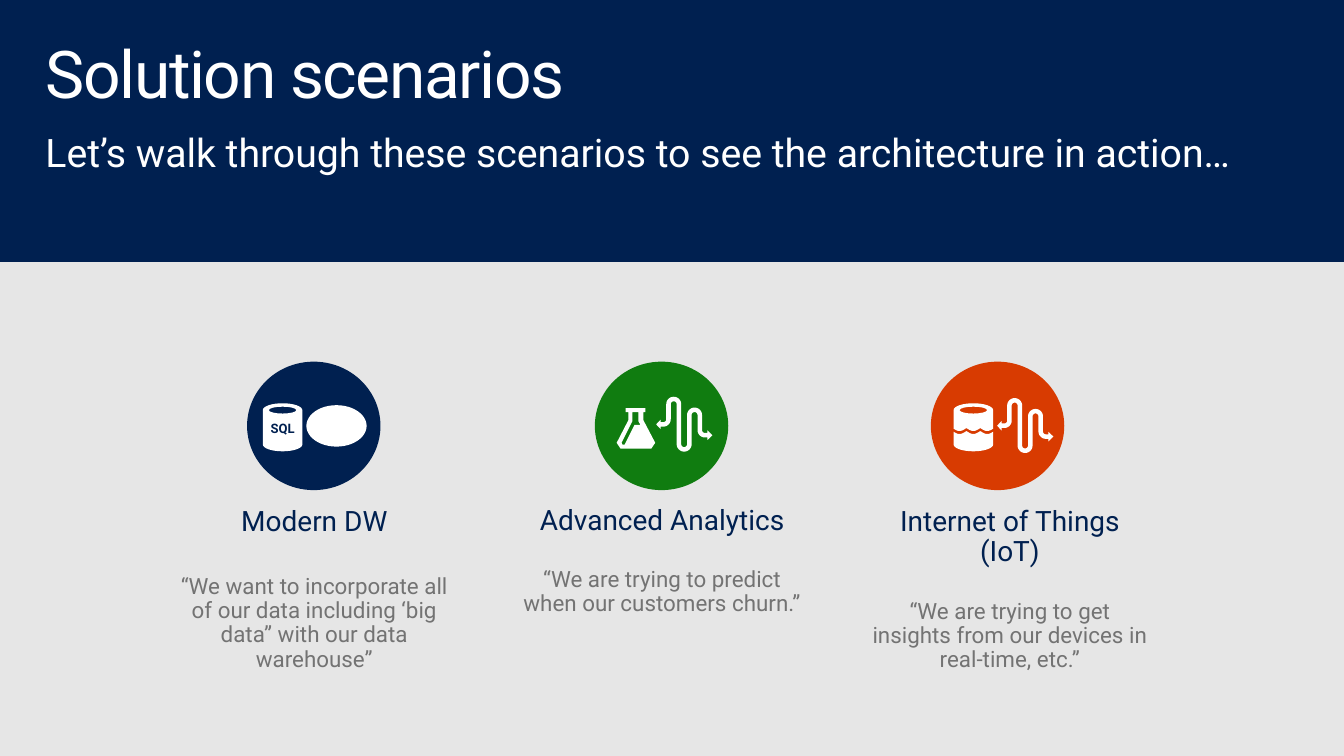
from dataclasses import dataclass
from math import cos, pi, radians, sin
from typing import Callable

from lxml import etree
from pptx import Presentation
from pptx import util as u
from pptx.dml.color import RGBColor
from pptx.enum import shapes, text
from pptx.oxml import ns

Point = tuple[float, float]
Contour = list[Point]

COLORS = {"navy": "002050", "green": "107C10", "orange": "D83B01",
          "white": "FFFFFF", "gray": "737373", "backdrop": "E6E6E6"}
FONT = "Roboto"
CAN_WIDTH, CAN_HEIGHT, LID = 28.8, 35, 5
COLUMN_LEFT, COLUMN_STEP, COLUMN_WIDTH = 113.8, 253.4, 230.4
DISC_TOP, DISC_WIDTH, DISC_HEIGHT = 263.5, 97.2, 93.6


@dataclass
class Scenario:
    heading: str
    quote: str
    color: str
    disc_left: float
    text_top: float
    text_height: float
    quote_gap: float
    draw_icons: Callable


def rgb(name: str) -> RGBColor:
    return RGBColor.from_string(COLORS[name])


def arc(cx: float, cy: float, rx: float, ry: float, start: int, end: int) -> Contour:
    """Points of an elliptical arc; angles in degrees, clockwise on screen."""
    steps = 16
    angles = [radians(start + (end - start) * i / steps) for i in range(steps + 1)]
    return [(cx + rx * cos(a), cy + ry * sin(a)) for a in angles]


def paint(shape, color: str):
    shape.shadow.inherit = False
    shape.fill.solid()
    shape.fill.fore_color.rgb = rgb(color)
    shape.line.fill.background()
    return shape


def add_preset(page, kind, left: float, top: float, width: float, height: float, color: str):
    return paint(page.shapes.add_shape(
        kind, u.Pt(left), u.Pt(top), u.Pt(width), u.Pt(height)), color)


def add_outline(page, left: float, top: float, contours: list[Contour]):
    """Add a white freeform; the builder counts in hundredths of a point."""
    scaled = [[(x * 100, y * 100) for x, y in contour] for contour in contours]
    builder = page.shapes.build_freeform(*scaled[0][0], scale=u.Pt(1) / 100)
    for number, contour in enumerate(scaled):
        if number:
            builder.move_to(*contour[0])
        builder.add_line_segments(contour[1:], close=True)
    return paint(builder.convert_to_shape(u.Pt(left), u.Pt(top)), "white")


def can_parts() -> tuple[Contour, Contour, Contour]:
    """Top rim, bottom rim and lid hole of a database can."""
    middle = CAN_WIDTH / 2
    return (arc(middle, LID, middle, LID, 180, 360),
            arc(middle, CAN_HEIGHT - LID, middle, LID, 0, 180),
            arc(middle, LID, 10, 2.5, 0, 360))


def add_sql_can(page, left: float, top: float) -> None:
    rim, base, hole = can_parts()
    can = add_outline(page, left, top, [rim + base, hole])
    frame = can.text_frame
    frame.margin_left = frame.margin_right = frame.margin_bottom = 0
    frame.margin_top = u.Pt(2.5)
    frame.word_wrap = False
    frame.vertical_anchor = text.MSO_ANCHOR.MIDDLE
    frame.text = "SQL"
    format_para(frame.paragraphs[0], 9.5, "navy", centered=True, bold=True)


def add_lake_can(page, left: float, top: float) -> None:
    rim, base, hole = can_parts()
    columns = [CAN_WIDTH * i / 48 for i in range(49)]

    def wave(level: float) -> Contour:
        return [(x, level + 2.2 * abs(cos(pi * (x - CAN_WIDTH / 2) / 10.1))) for x in columns]

    add_outline(page, left, top, [rim + wave(18)[::-1], wave(20.2) + base, hole])


def add_flask(page, left: float, top: float) -> None:
    glass = [(6.5, 0), (20.9, 0), (20.9, 2.9), (19.4, 2.9), (19.4, 8.6), (28.1, 25.2),
             (25.2, 29.5), (2.9, 29.5), (0, 25.2), (8.6, 8.6), (8.6, 2.9), (6.5, 2.9)]
    hollow = [(11.5, 2.9), (11.5, 9.4), (3.6, 25.2), (4.3, 26.6), (5.8, 26.6),
              (13, 12.2), (17.3, 12.2), (15.8, 9.4), (15.8, 2.9)]
    add_outline(page, left, top, [glass, hollow])


def add_stream(page, left: float, top: float) -> None:
    """Add a winding band of even width with an arrowhead at both ends."""
    radius, half, barb = 3.8, 1.65, 3.5
    bends = [(5.2, 16.7, 90, 0), (12.8, 5.8, 180, 360), (20.4, 34.9, 180, 0),
             (28, 13.7, 180, 360), (35.6, 24.6, 180, 90)]

    def rail(side: int) -> Contour:
        points = []
        for cx, cy, start, end in bends:
            reach = radius + side * half * (1 if end > start else -1)
            points += arc(cx, cy, reach, reach, start, end)
        return points

    def head(base: float, tip: float, y: float, way: int) -> Contour:
        return [(base, y - way * half), (base, y - way * barb), (tip, y),
                (base, y + way * barb), (base, y + way * half)]

    add_outline(page, left, top, [rail(1) + head(37.4, 41, 28.4, 1)
                                  + rail(-1)[::-1] + head(3.3, 0, 20.5, -1)])


def draw_warehouse(page) -> None:
    add_sql_can(page, 191.5, 293.8)
    add_preset(page, shapes.MSO_SHAPE.OVAL, 223.2, 295.2, 43.9, 30.2, "white")


def draw_analytics(page) -> None:
    add_flask(page, 449.3, 297.4)
    add_stream(page, 478.1, 288.7)


def draw_devices(page) -> None:
    add_lake_can(page, 694.8, 293.8)
    add_stream(page, 726.5, 289.7)


def format_para(para, size: float, color: str, after: float = 0, before: float = 0,
                centered: bool = False, bold: bool = False) -> None:
    para.alignment = text.PP_ALIGN.CENTER if centered else text.PP_ALIGN.LEFT
    para.line_spacing = 0.9
    para.space_before, para.space_after = u.Pt(before), u.Pt(after)
    properties = para._p.get_or_add_pPr()
    properties.set("marL", "0")
    properties.set("indent", "0")
    etree.SubElement(properties, ns.qn("a:buNone"))
    for span in para.runs:
        span.font.name, span.font.size, span.font.bold = FONT, u.Pt(size), bold
        span.font.color.rgb = rgb(color)


def fill_placeholder(box, left: float, top: float, width: float, height: float, words: str):
    box.left, box.top, box.width, box.height = map(u.Pt, (left, top, width, height))
    frame = box.text_frame
    frame.margin_left = frame.margin_right = u.Pt(11.5)
    frame.margin_top = frame.margin_bottom = u.Pt(7.2)
    frame.word_wrap = True
    frame.auto_size = text.MSO_AUTO_SIZE.NONE
    frame.vertical_anchor = text.MSO_ANCHOR.TOP
    frame.text = words
    return frame.paragraphs


SCENARIOS = [
    Scenario("Modern DW",
             "“We want to incorporate all of our data including ‘big data” with our data warehouse”",
             "navy", 180, 362.2, 164.9, 24.6, draw_warehouse),
    Scenario("Advanced Analytics", "“We are trying to predict when our customers churn.”",
             "green", 433.4, 361.4, 123.8, 20.3, draw_analytics),
    Scenario("Internet of Things (IoT)",
             "“We are trying to get insights from our devices in real-time, etc.”",
             "orange", 678.2, 362.2, 141.8, 20.3, draw_devices),
]


def main() -> None:
    deck = Presentation()
    deck.slide_width, deck.slide_height = u.Pt(979.2), u.Pt(550.8)
    page = deck.slides.add_slide(deck.slide_layouts.get_by_name("Comparison"))
    page.background.fill.solid()
    page.background.fill.fore_color.rgb = rgb("backdrop")

    band = add_preset(page, shapes.MSO_SHAPE.RECTANGLE, -1.4, 0, 980.6, 190.8, "navy")
    band.line.color.rgb = rgb("navy")
    band.line.width = u.Pt(0.75)
    page.shapes.element.insert(2, band.element)  # behind the placeholders

    title, subtitle, *columns = page.placeholders
    para = fill_placeholder(title, 21.6, 23, 936.7, 72, "Solution scenarios")[0]
    format_para(para, 48, "white")
    para.runs[0].font._element.set("spc", "-100")
    para = fill_placeholder(subtitle, 21.6, 90, 957.6, 46.1,
                            "Let’s walk through these scenarios to see the architecture in action…")[0]
    format_para(para, 28.6, "white", after=6.1)

    for number, (box, item) in enumerate(zip(columns, SCENARIOS)):
        heading, quote = fill_placeholder(
            box, COLUMN_LEFT + number * COLUMN_STEP, item.text_top, COLUMN_WIDTH,
            item.text_height, f"{item.heading}\n{item.quote}")
        format_para(heading, 20.4, "navy", after=3.1, centered=True)
        format_para(quote, 16.3, "gray", after=3.1, before=item.quote_gap, centered=True)
        add_preset(page, shapes.MSO_SHAPE.OVAL, item.disc_left, DISC_TOP,
                   DISC_WIDTH, DISC_HEIGHT, item.color)
        item.draw_icons(page)

    deck.save("out.pptx")


if __name__ == "__main__":
    main()
